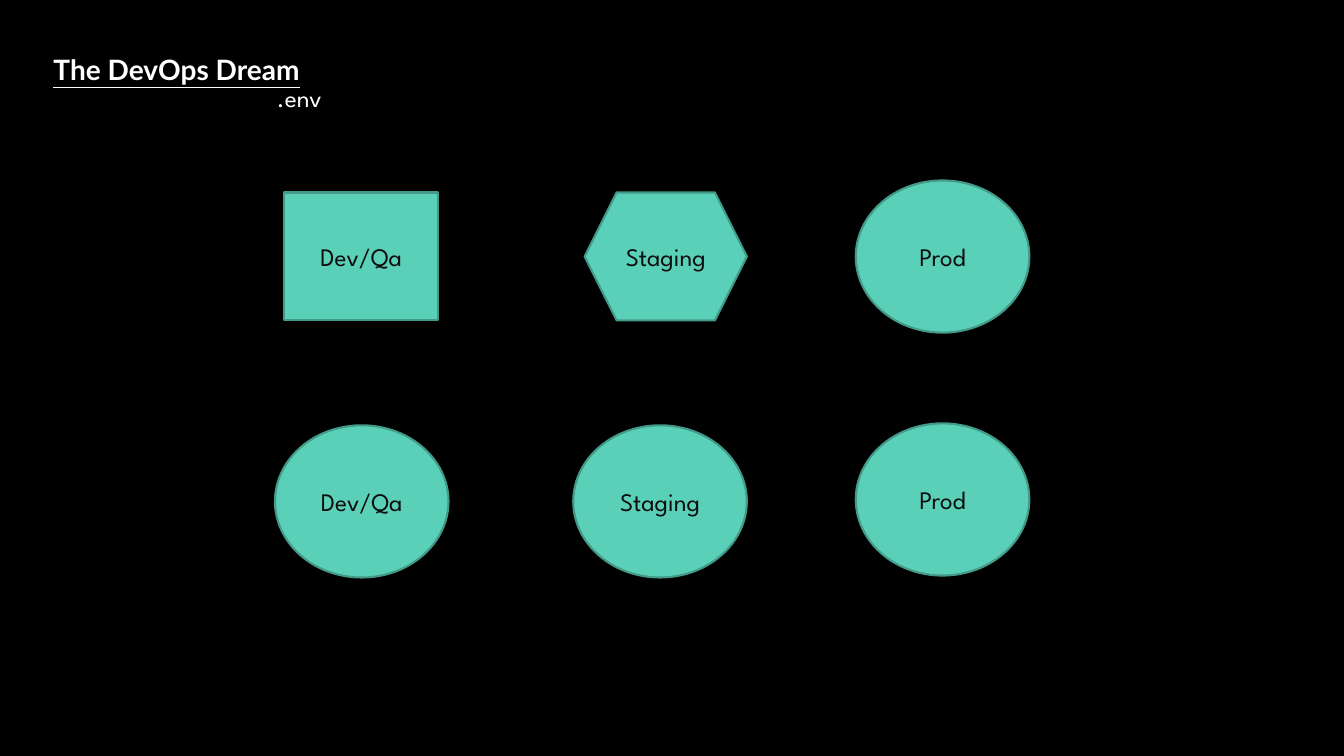
from pptx import Presentation
from pptx.dml.color import RGBColor
from pptx.enum.shapes import MSO_SHAPE as SHAPE
from pptx.enum.text import MSO_ANCHOR as ANCHOR, MSO_AUTO_SIZE as AUTO, PP_ALIGN as ALIGN
from pptx.util import Pt

COLORS = {"bg": "000000", "light": "FFFFFF", "dark": "0D0D0D", "fill": "5AD0B8", "edge": "439A88"}


class Deck:
    """Holds the style and the current slide and draws each kind of element."""

    def __init__(self, prs):
        self.s = prs.slides.add_slide(prs.slide_layouts[5])
        self.heading_font, self.body_font = "Lato", "League Spartan"
        bg = self.s.background.fill
        bg.solid()
        bg.fore_color.rgb = self.color("bg")

    def color(self, name):
        return RGBColor.from_string(COLORS[name])

    def add_text(self, tf, text, font, size, color, align, anchor):
        tf.vertical_anchor = anchor
        p = tf.paragraphs[0]
        p.alignment = align
        r = p.add_run()
        r.text = text
        r.font.name, r.font.size = font, Pt(size)
        r.font.color.rgb = self.color(color)
        return r

    def title(self, text, x, y, w, h):
        sp = self.s.shapes.title
        sp.left, sp.top, sp.width, sp.height = Pt(x), Pt(y), Pt(w), Pt(h)
        sp.text_frame.auto_size = AUTO.SHAPE_TO_FIT_TEXT
        r = self.add_text(sp.text_frame, text, self.heading_font, 20, "light", ALIGN.LEFT, ANCHOR.TOP)
        r.font.bold = r.font.underline = True

    def label(self, text, x, y, w, h):
        tf = self.s.shapes.add_textbox(Pt(x), Pt(y), Pt(w), Pt(h)).text_frame
        tf.word_wrap = False
        tf.auto_size = AUTO.SHAPE_TO_FIT_TEXT
        self.add_text(tf, text, self.body_font, 18, "light", ALIGN.LEFT, ANCHOR.TOP)

    def stage(self, text, kind, x, y, w, h):
        sp = self.s.shapes.add_shape(kind, Pt(x), Pt(y), Pt(w), Pt(h))
        sp.shadow.inherit = False
        sp.fill.solid()
        sp.fill.fore_color.rgb = self.color("fill")
        sp.line.color.rgb = self.color("edge")
        sp.line.width = Pt(1.5)
        self.add_text(sp.text_frame, text, self.body_font, 18, "dark", ALIGN.CENTER, ANCHOR.MIDDLE)


def main():
    prs = Presentation()
    prs.slide_width, prs.slide_height = Pt(960), Pt(540)
    deck = Deck(prs)
    deck.title("The DevOps Dream", 31, 33.8, 265, 31.7)
    deck.label(".env", 190.8, 55.4, 55.4, 28.8)
    deck.stage("Dev/Qa", SHAPE.RECTANGLE, 203, 137.5, 110.2, 91.4)
    deck.stage("Staging", SHAPE.HEXAGON, 417.6, 137.5, 115.9, 91.4)
    ovals = [("Dev/Qa", 196.4, 303.8), ("Staging", 409.5, 303.8),
             ("Prod", 611.3, 302.4), ("Prod", 611.3, 128.9)]
    for text, x, y in ovals:
        deck.stage(text, SHAPE.OVAL, x, y, 124, 108.7)
    prs.save("out.pptx")


if __name__ == "__main__":
    main()
